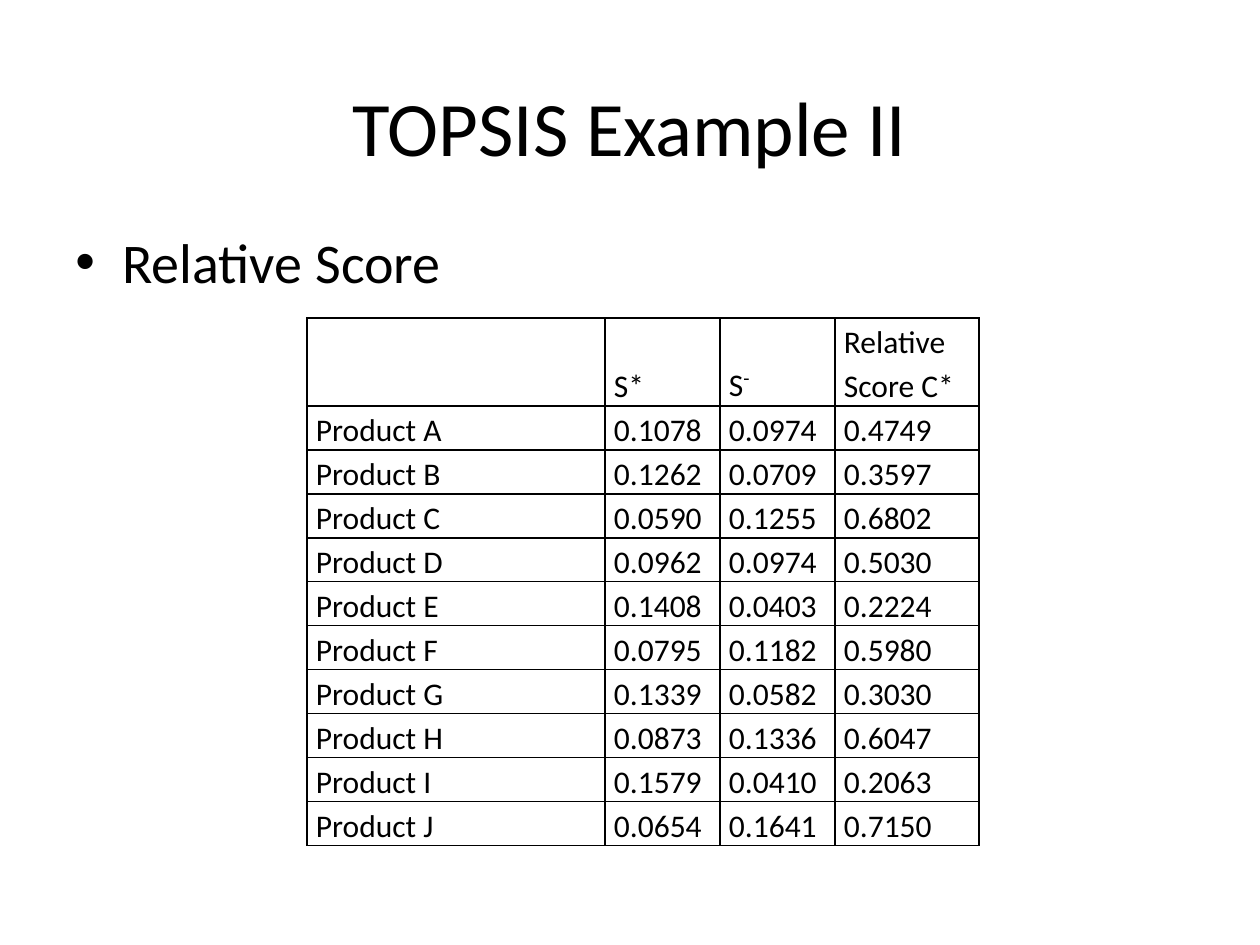
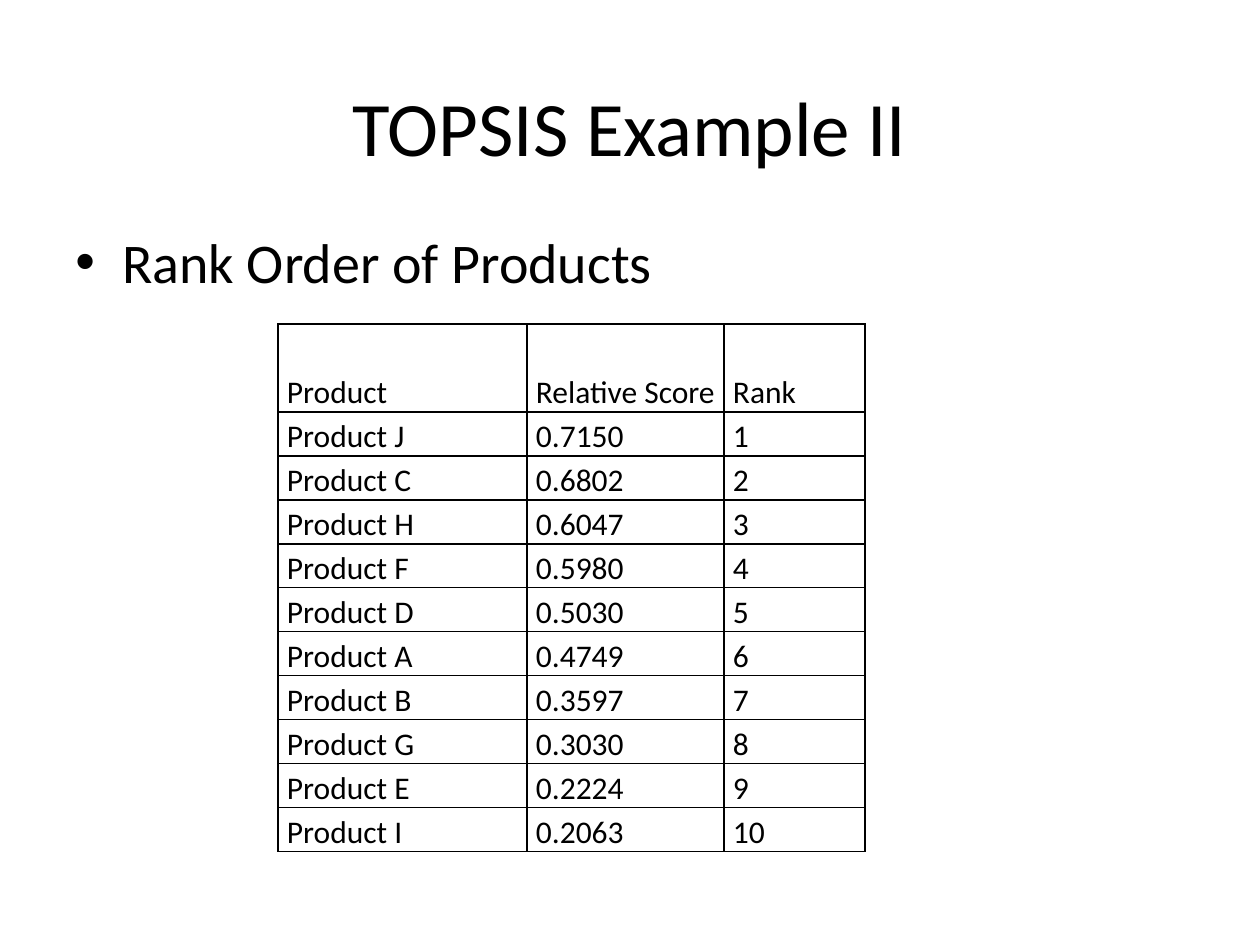
"""Build two slides with the scores and ranks of a TOPSIS example."""
from dataclasses import dataclass

from lxml import etree
from pptx import Presentation
from pptx.dml.color import RGBColor
from pptx.enum.text import MSO_ANCHOR, MSO_AUTO_SIZE, PP_ALIGN
from pptx.oxml.ns import qn
from pptx.util import Emu, Pt

CENTER, JUSTIFY = PP_ALIGN.CENTER, PP_ALIGN.JUSTIFY
MIDDLE, BOTTOM = MSO_ANCHOR.MIDDLE, MSO_ANCHOR.BOTTOM
NO_FIT = MSO_AUTO_SIZE.NONE
COLORS = {"ink": "000000", "paper": "FFFFFF"}
FONT = "Calibri"
TITLE = "TOPSIS Example II"
LEFT, WIDTH = 63, 1134
INDENT = 47
ROW, INSET = 44, 9

SCORES = [
    ("Product A", "0.1078", "0.0974", "0.4749"),
    ("Product B", "0.1262", "0.0709", "0.3597"),
    ("Product C", "0.0590", "0.1255", "0.6802"),
    ("Product D", "0.0962", "0.0974", "0.5030"),
    ("Product E", "0.1408", "0.0403", "0.2224"),
    ("Product F", "0.0795", "0.1182", "0.5980"),
    ("Product G", "0.1339", "0.0582", "0.3030"),
    ("Product H", "0.0873", "0.1336", "0.6047"),
    ("Product I", "0.1579", "0.0410", "0.2063"),
    ("Product J", "0.0654", "0.1641", "0.7150"),
]
SORTED = sorted(SCORES, key=lambda row: row[3], reverse=True)
RANKS = [(row[0], row[3], str(rank)) for rank, row in enumerate(SORTED, 1)]


@dataclass
class Page:
    """Hold the bullet and the table of one slide."""
    bullet: str
    left: int
    top: int
    cols: tuple[int, ...]
    head: tuple[str, ...]
    rows: list[tuple[str, ...]]


PAGES = [
    Page("Relative Score", 307, 318, (298, 115, 115, 144),
         ("", "S*", "S-", "Relative Score C*"), SCORES),
    Page("Rank Order of Products", 278, 324, (249, 197, 141),
         ("Product", "Relative Score", "Rank"), RANKS),
]


def px(size: int) -> Emu:
    """Turn pixels into EMU."""
    return Emu(round(size * 914400 / 126))


def style(para, size: int, align=None) -> None:
    """Set the font and the alignment of a paragraph."""
    para.font.name = FONT
    para.font.size = Pt(size)
    para.font.color.rgb = RGBColor.from_string(COLORS["ink"])
    para.alignment = align


def add_title(slide) -> None:
    """Place and format the slide title."""
    shape = slide.shapes.title
    shape.left, shape.top = px(LEFT), px(47)
    shape.width, shape.height = px(WIDTH), px(158)
    frame = shape.text_frame
    frame.text = TITLE
    frame.vertical_anchor = MIDDLE
    frame.auto_size = NO_FIT
    style(frame.paragraphs[0], 44, CENTER)


def add_bullet(slide, text: str) -> None:
    """Add the body text with its bullet."""
    box = slide.shapes.add_textbox(px(LEFT), px(221), px(WIDTH), px(624))
    frame = box.text_frame
    frame.word_wrap = True
    frame.text = text
    para = frame.paragraphs[0]
    props = para._p.get_or_add_pPr()
    props.set("marL", str(px(INDENT)))
    props.set("indent", str(-px(INDENT)))
    etree.SubElement(props, qn("a:buFont"), typeface="Arial")
    etree.SubElement(props, qn("a:buChar"), char="•")
    style(para, 32)


def add_edges(cell) -> None:
    """Draw the four borders of a cell."""
    props = cell._tc.get_or_add_tcPr()
    for side in ("lnL", "lnR", "lnT", "lnB"):
        line = etree.SubElement(props, qn(f"a:{side}"), w=str(Pt(1)))
        fill = etree.SubElement(line, qn("a:solidFill"))
        etree.SubElement(fill, qn("a:srgbClr"), val=COLORS["ink"])


def fill_cell(cell, text: str) -> None:
    """Write and format one table cell."""
    add_edges(cell)
    cell.fill.background()
    cell.vertical_anchor = BOTTOM
    cell.margin_left = cell.margin_right = px(INSET)
    cell.margin_top = cell.margin_bottom = 0
    para = cell.text_frame.paragraphs[0]
    para.line_spacing = 1.15
    style(para, 18, JUSTIFY)
    if text == "S-":
        para.add_run().text = "S"
        sign = para.add_run()
        sign.text = "-"
        sign.font.size = Pt(20)
        sign._r.get_or_add_rPr().set("baseline", "30000")
    elif text:
        para.add_run().text = text


def add_grid(slide, page: Page) -> None:
    """Add the table of a page."""
    rows = [page.head, *page.rows]
    frame = slide.shapes.add_table(
        len(rows), len(page.cols), px(page.left), px(page.top),
        px(sum(page.cols)), px(ROW * (len(rows) + 1)))
    table = frame.table
    table.first_row = table.horz_banding = False
    for col, width in zip(table.columns, page.cols):
        col.width = px(width)
    for r, row in enumerate(rows):
        table.rows[r].height = px(ROW if r else 2 * ROW)
        for c, text in enumerate(row):
            fill_cell(table.cell(r, c), text)


def main() -> None:
    """Build and save the deck."""
    deck = Presentation()
    deck.slide_width, deck.slide_height = px(1260), px(945)
    for page in PAGES:
        slide = deck.slides.add_slide(deck.slide_layouts[5])
        back = slide.background.fill
        back.solid()
        back.fore_color.rgb = RGBColor.from_string(COLORS["paper"])
        add_title(slide)
        add_bullet(slide, page.bullet)
        add_grid(slide, page)
    deck.save("out.pptx")


if __name__ == "__main__":
    main()
